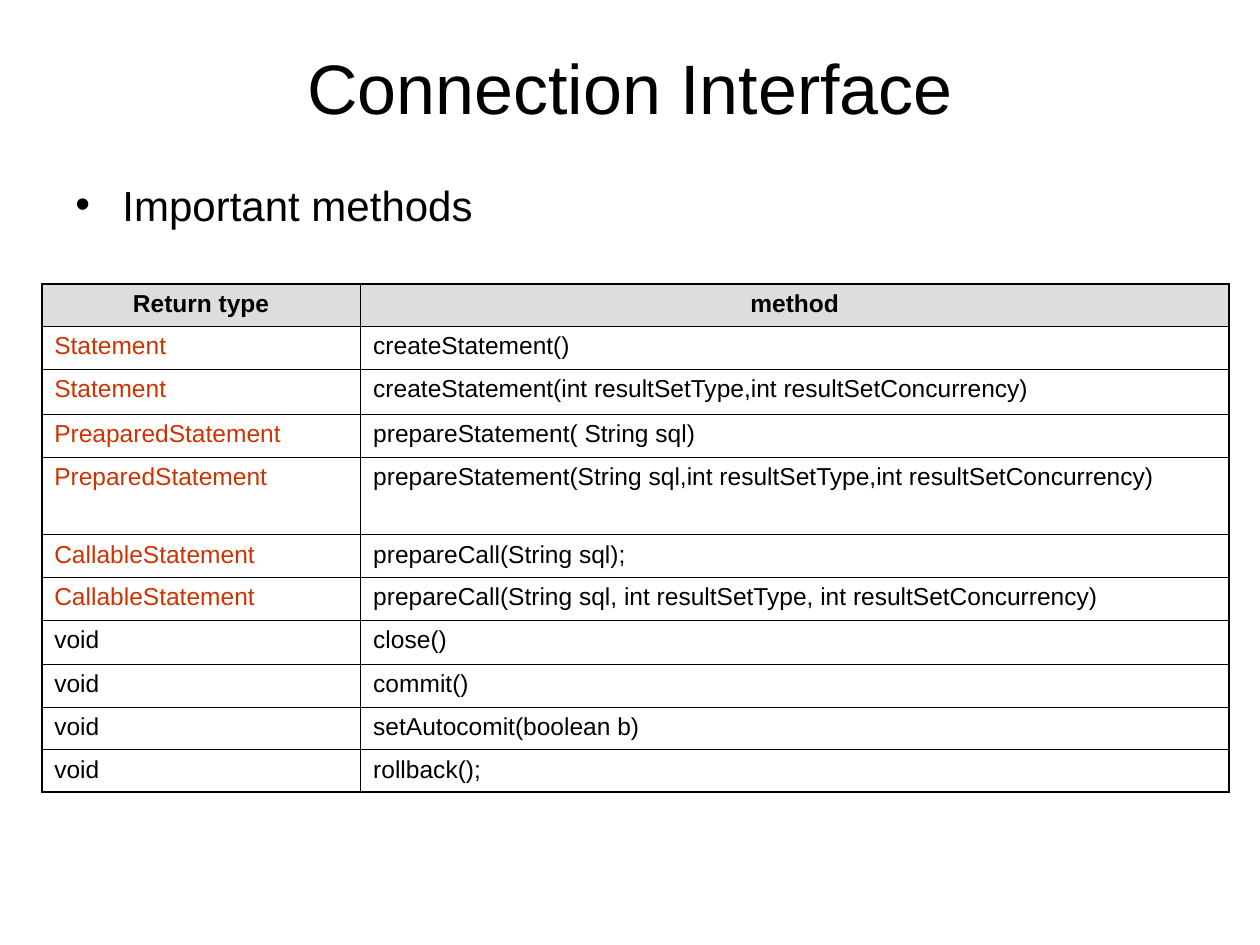
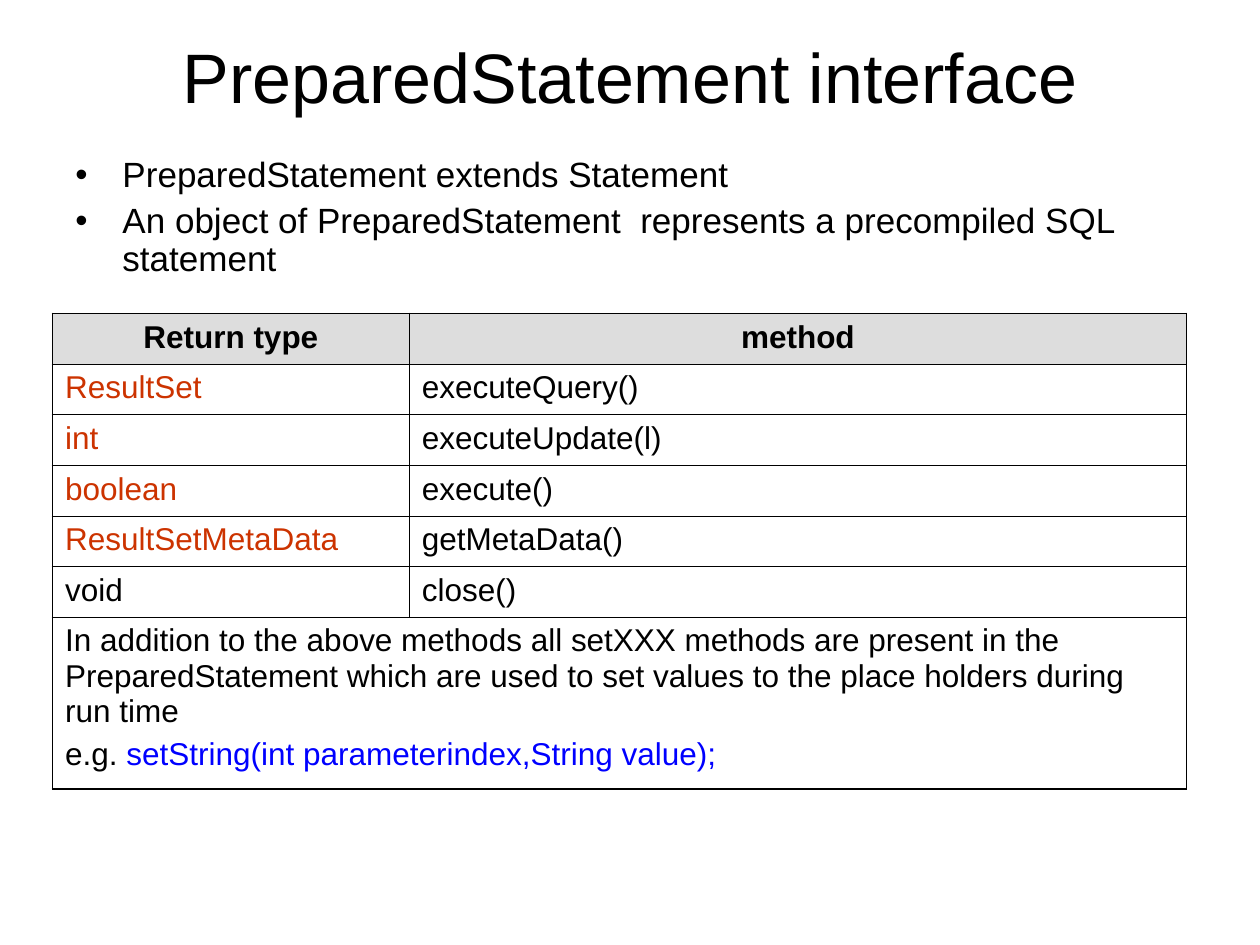
"""Build two slides that list the methods of the Connection and PreparedStatement interfaces."""
from lxml.etree import SubElement
from pptx import Presentation
from pptx.dml.color import RGBColor
from pptx.enum.text import MSO_ANCHOR, PP_ALIGN
from pptx.oxml.ns import qn
from pptx.util import Cm, Pt

BLACK, RED, BLUE, GREY = "000000", "CC3300", "0000FF", "DDDDDD"
OUTER_LINE, INNER_LINE = Pt(1.08), Pt(0.45)
HEADER = ("Return type", "method")

PAGES = [
    {
        "title": "Connection Interface", "title_height": 1.98,
        "bullets": ["Important methods"],
        "body_top": 3.61, "body_height": 1.35, "body_size": 24, "line_spacing": 0.8, "gap": 6,
        "table_left": 0.84, "table_top": 5.72, "columns": (6.43, 17.5), "cell_size": 14,
        "row_height": 0.86, "special_heights": {2: 0.91, 4: 1.57, 7: 0.89},
        "methods": [
            ("Statement", "createStatement()"),
            ("Statement", "createStatement(int resultSetType,int resultSetConcurrency)"),
            ("PreaparedStatement", "prepareStatement( String sql)"),
            ("PreparedStatement",
             "prepareStatement(String sql,int resultSetType,int resultSetConcurrency)"),
            ("CallableStatement", "prepareCall(String sql);"),
            ("CallableStatement",
             "prepareCall(String sql, int resultSetType, int resultSetConcurrency)"),
            ("void", "close()"),
            ("void", "commit()"),
            ("void", "setAutocomit(boolean b)"),
            ("void", "rollback();"),
        ],
    },
    {
        "title": "PreparedStatement interface", "title_height": 1.52,
        "bullets": ["PreparedStatement extends Statement",
                    "An object of PreparedStatement  represents a precompiled SQL statement"],
        "body_top": 2.97, "body_height": 2.74, "body_size": 20, "line_spacing": 0.9, "gap": 5,
        "table_left": 1.06, "table_top": 6.32, "columns": (7.19, 15.67), "cell_size": 18,
        "row_height": 1.02, "special_heights": {6: 3.47},
        "methods": [
            ("ResultSet", "executeQuery()"),
            ("int", "executeUpdate(l)"),
            ("boolean", "execute()"),
            ("ResultSetMetaData", "getMetaData()"),
            ("void", "close()"),
        ],
        "note": "In addition to the above methods all setXXX methods are present in the "
                "PreparedStatement which are used to set values to the place holders during "
                "run time\ne.g. ",
        "example": "setString(int parameterindex,String value);",
    },
]


def color(value):
    """Turn a hex string into a colour."""
    return RGBColor.from_string(value)


def format_text(frame, size, value=BLACK, bold=False, gap=0, alignment=PP_ALIGN.LEFT):
    """Format every paragraph of a text frame and space the later ones apart."""
    for position, para in enumerate(frame.paragraphs):
        para.alignment = alignment
        para.space_before = Pt(gap if position else 0)
        for span in para.runs:
            span.font.name = "Arial"
            span.font.size = Pt(size)
            span.font.bold = bold
            span.font.color.rgb = color(value)


deck = Presentation()
deck.slide_width, deck.slide_height = Cm(25.4), Cm(19.05)

for content in PAGES:
    page = deck.slides.add_slide(deck.slide_layouts[6])

    title = page.shapes.add_textbox(Cm(1.27), Cm(0.76), Cm(22.86), Cm(content["title_height"]))
    title.text_frame.word_wrap = True
    title.text_frame.vertical_anchor = MSO_ANCHOR.MIDDLE
    title.text_frame.text = content["title"]
    format_text(title.text_frame, 40, alignment=PP_ALIGN.CENTER)

    body = page.shapes.add_textbox(
        Cm(1.27), Cm(content["body_top"]), Cm(22.86), Cm(content["body_height"]))
    body.text_frame.word_wrap = True
    body.text_frame.margin_top = Cm(0.2)
    body.text_frame.text = "\n".join(content["bullets"])
    for para in body.text_frame.paragraphs:
        properties = para._p.get_or_add_pPr()
        properties.set("marL", str(Cm(0.95)))
        properties.set("indent", str(-Cm(0.95)))
        SubElement(properties, qn("a:buFont"), typeface="Arial")
        SubElement(properties, qn("a:buChar"), char="•")
        para.line_spacing = content["line_spacing"]
    format_text(body.text_frame, content["body_size"], gap=content["gap"])

    rows = [HEADER] + content["methods"]
    if "note" in content:
        rows.append((content["note"], ""))
    heights = [content["special_heights"].get(index, content["row_height"])
               for index in range(len(rows))]
    table = page.shapes.add_table(
        len(rows), 2, Cm(content["table_left"]), Cm(content["table_top"]),
        Cm(sum(content["columns"])), Cm(sum(heights))).table
    table.first_row = table.horz_banding = False
    for column, width in zip(table.columns, content["columns"]):
        column.width = Cm(width)
    for row, height in zip(table.rows, heights):
        row.height = Cm(height)
    if "note" in content:
        last = len(rows) - 1
        table.cell(last, 0).merge(table.cell(last, 1))

    for row_index, texts in enumerate(rows):
        is_header = row_index == 0
        for column_index, text in enumerate(texts):
            cell = table.cell(row_index, column_index)
            outer_sides = {
                "lnL": column_index == 0,
                "lnR": column_index == 1 or cell.is_merge_origin,
                "lnT": is_header,
                "lnB": row_index == len(rows) - 1,
            }
            for side, is_outer in outer_sides.items():
                line = SubElement(cell._tc.get_or_add_tcPr(), qn(f"a:{side}"),
                                  w=str(OUTER_LINE if is_outer else INNER_LINE))
                SubElement(SubElement(line, qn("a:solidFill")), qn("a:srgbClr"), val=BLACK)
            if is_header:
                cell.fill.solid()
                cell.fill.fore_color.rgb = color(GREY)
            else:
                cell.fill.background()
            if cell.is_spanned:
                continue
            cell.text_frame.text = text
            if cell.is_merge_origin:
                cell.text_frame.paragraphs[1].add_run().text = content["example"]
            is_result = column_index == 0 and text != "void"
            is_red = is_result and not is_header and not cell.is_merge_origin
            format_text(cell.text_frame, content["cell_size"], RED if is_red else BLACK,
                        is_header, 4.5, PP_ALIGN.CENTER if is_header else PP_ALIGN.LEFT)
            if cell.is_merge_origin:
                cell.text_frame.paragraphs[1].runs[1].font.color.rgb = color(BLUE)

deck.save("out.pptx")
